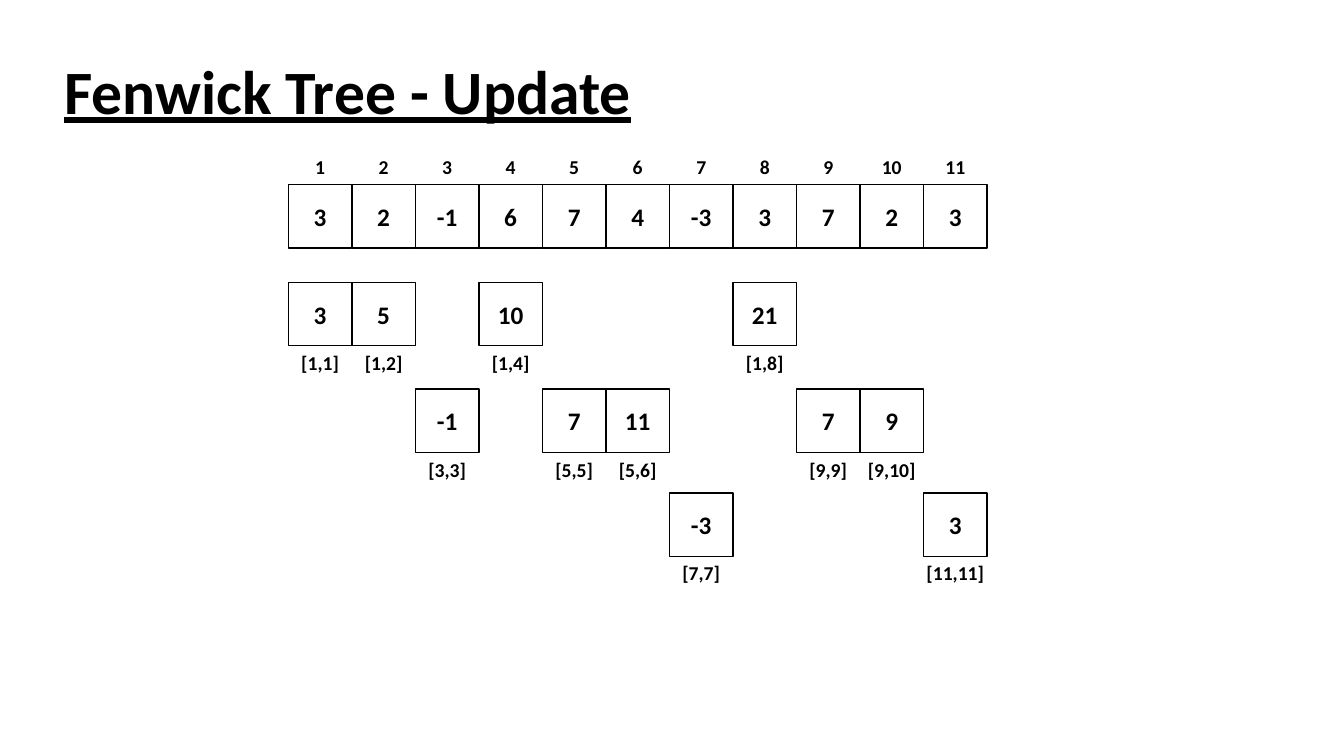
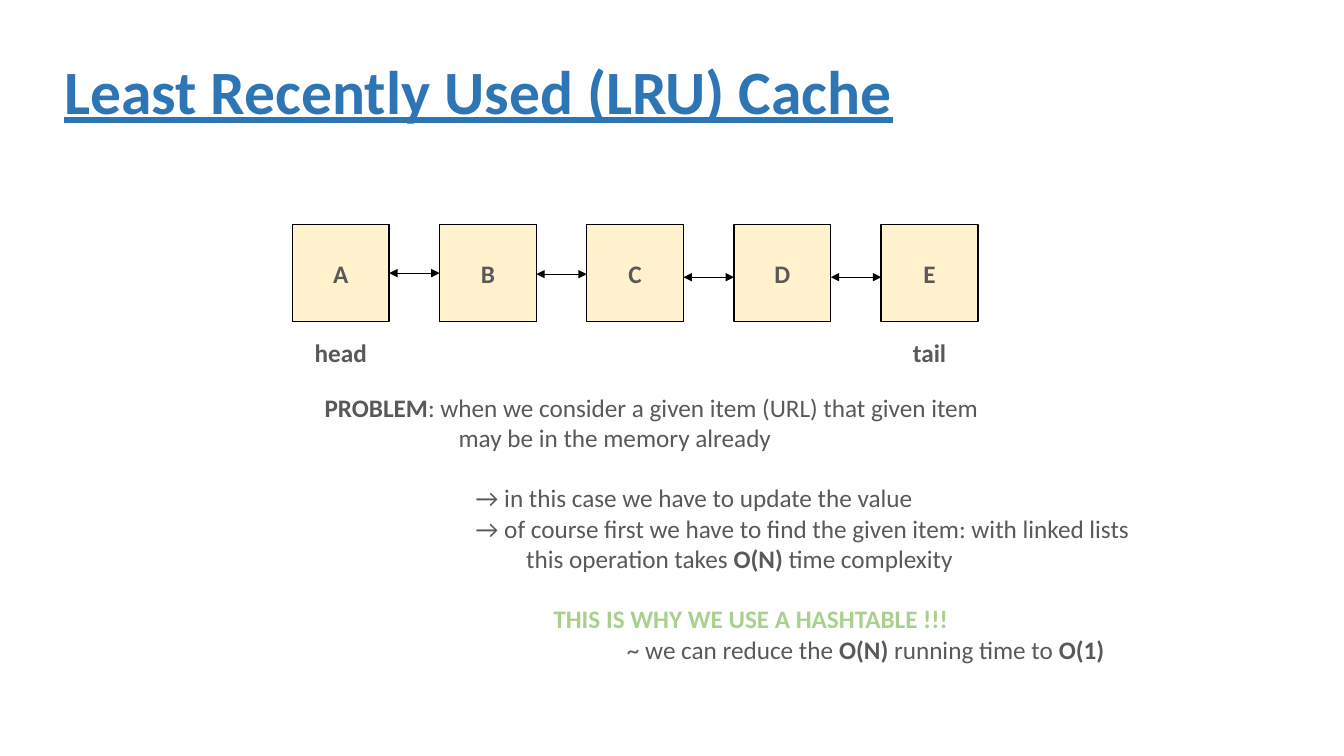
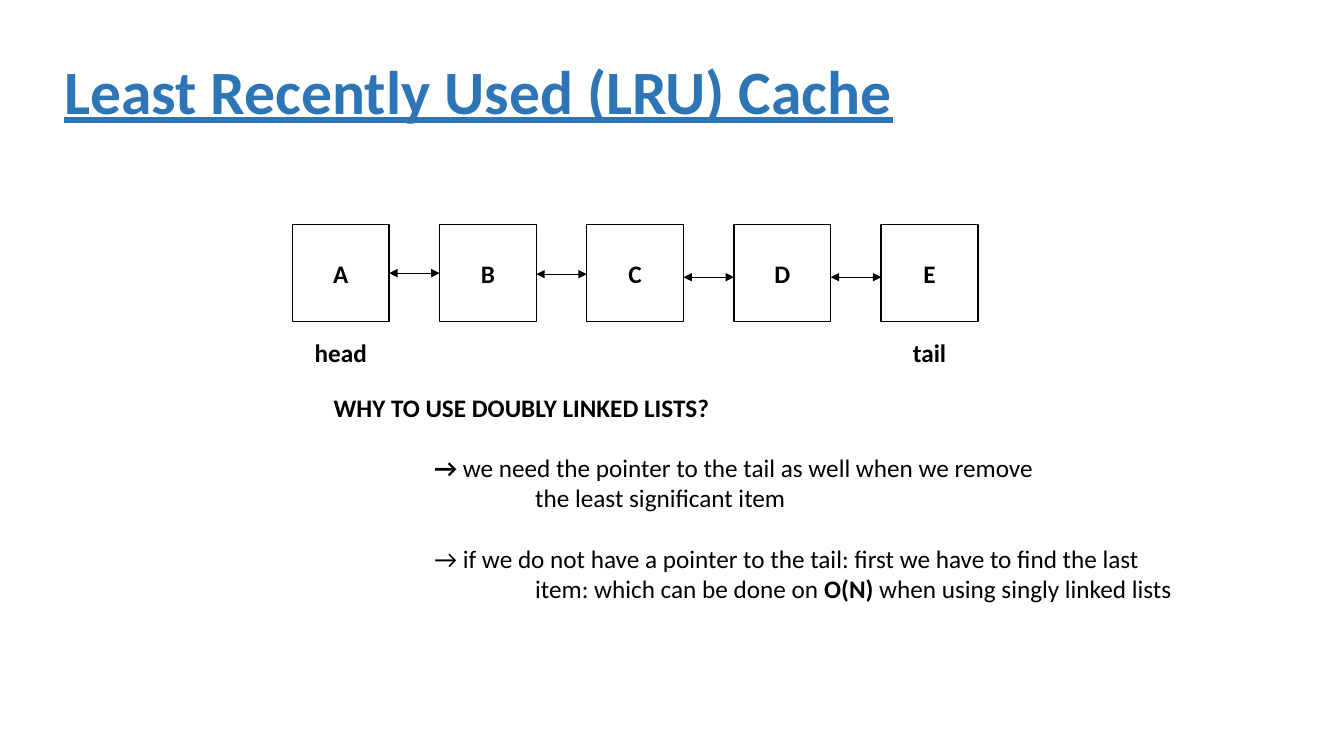
from dataclasses import dataclass
from pptx import Presentation
from pptx.dml.color import RGBColor as RGB
from pptx.enum.shapes import MSO_CONNECTOR as CONN, MSO_SHAPE as SHAPE
from pptx.enum.text import MSO_ANCHOR as ANCHOR, PP_ALIGN as ALIGN
from pptx.oxml.ns import qn
from pptx.util import Inches, Pt
from lxml.etree import SubElement


@dataclass(frozen=True)
class Theme:
    """Colours, font and type sizes of the deck."""
    font: str = "Calibri"
    black: RGB = RGB(0, 0, 0)
    white: RGB = RGB(255, 255, 255)
    blue: RGB = RGB(0x2E, 0x75, 0xB6)
    grey: RGB = RGB(0x59, 0x59, 0x59)
    cream: RGB = RGB(0xFF, 0xF2, 0xCC)
    green: RGB = RGB(0xA9, 0xD1, 0x8E)
    title: int = 44
    body: int = 18
    label: int = 14
    gap: float = 21.6


class Deck:
    """Holds the theme and the current slide, and draws each kind of element."""

    def __init__(self, theme):
        """Start an empty widescreen deck."""
        self.t = theme
        self.prs = Presentation()
        self.prs.slide_width, self.prs.slide_height = Inches(13.33), Inches(7.5)

    def style(self, p, size, color, bold=None):
        """Set the font of a whole paragraph."""
        p.font.name, p.font.size, p.font.bold = self.t.font, Pt(size), bold
        p.font.color.rgb = color

    def frame(self, x, y, w, h):
        """Add a wrapping text box and return its text frame."""
        tf = self.s.shapes.add_textbox(*map(Inches, (x, y, w, h))).text_frame
        tf.word_wrap = True
        return tf

    def slide(self, title, color):
        """Add a slide with its underlined title."""
        self.s = self.prs.slides.add_slide(self.prs.slide_layouts[6])
        tf = self.frame(0.54, 0.21, 11.5, 1.45)
        tf.vertical_anchor = ANCHOR.MIDDLE
        p = tf.paragraphs[0]
        p.text, p.line_spacing = title, 0.9
        self.style(p, self.t.title, color, True)
        p.font.underline = True

    def box(self, x, y, side, text, fill, color):
        """Draw a square with a centred value."""
        sp = self.s.shapes.add_shape(SHAPE.RECTANGLE, *map(Inches, (x, y, side, side)))
        sp.shadow.inherit = False
        sp.fill.solid()
        sp.fill.fore_color.rgb = fill
        sp.line.color.rgb, sp.line.width = self.t.black, Pt(1)
        sp.text_frame.vertical_anchor = ANCHOR.MIDDLE
        p = sp.text_frame.paragraphs[0]
        p.text, p.alignment = text, ALIGN.CENTER
        self.style(p, self.t.body, color, True)

    def label(self, center, y, text, size, color):
        """Write a bold label centred on a horizontal position."""
        p = self.frame(center - 0.5, y, 1, 0.34).paragraphs[0]
        p.text, p.alignment = text, ALIGN.CENTER
        self.style(p, size, color, True)

    def arrow(self, x1, x2, y):
        """Draw a horizontal double-headed arrow."""
        c = self.s.shapes.add_connector(CONN.STRAIGHT, *map(Inches, (x1, y, x2, y)))
        c.line.color.rgb, c.line.width = self.t.black, Pt(0.5)
        ln = c.line._get_or_add_ln()
        for end in ("a:headEnd", "a:tailEnd"):
            SubElement(ln, qn(end), type="triangle")
        SubElement(c._element.spPr, qn("a:effectLst"))

    def notes(self, x, w, h, color, lines):
        """Write indented lines, with the parts between asterisks in bold."""
        tf = self.frame(x, 3.84, w, h)
        for i, (indent, gap, text, *own) in enumerate(lines):
            p = tf.add_paragraph() if i else tf.paragraphs[0]
            p._p.get_or_add_pPr().set("marL", str(Inches(indent)))
            p.space_before = Pt(gap * self.t.gap)
            self.style(p, self.t.body, own[0] if own else color)
            for j, part in enumerate(text.split("*")):
                if part:
                    r = p.add_run()
                    r.text, r.font.bold = part, j % 2 == 1

    def linked_list(self, fill, color):
        """Draw the doubly linked list with its head and tail."""
        left, top, side, step = 2.9, 2.23, 0.96, 1.46
        for i, name in enumerate("ABCDE"):
            self.box(left + i * step, top, side, name, fill, color)
        for i, y in enumerate((2.71, 2.72, 2.75, 2.75)):
            x = left + i * step + side
            self.arrow(x, x + step - side, y)
        for i, name in ((0, "head"), (4, "tail")):
            self.label(left + i * step + side / 2, 3.3, name, self.t.body, color)

    def fenwick_tree(self, values, levels):
        """Draw the indexed array and the levels of range sums."""
        left, side, t = 2.86, 0.63, self.t

        def cell(index, y, value, label, label_y):
            x = left + (index - 1) * side
            self.box(x, y, side, str(value), t.white, t.black)
            self.label(x + side / 2, label_y, label, t.label, t.black)

        for index, value in enumerate(values, 1):
            cell(index, 1.83, value, str(index), 1.49)
        for y, sums in levels.items():
            for first, last, value in sums:
                cell(last, y, value, f"[{first},{last}]", y + side)


def main():
    """Build the three slides."""
    t = Theme()
    d = Deck(t)

    d.slide("Fenwick Tree - Update", t.black)
    d.fenwick_tree((3, 2, -1, 6, 7, 4, -3, 3, 7, 2, 3), {
        2.8: ((1, 1, 3), (1, 2, 5), (1, 4, 10), (1, 8, 21)),
        3.86: ((3, 3, -1), (5, 5, 7), (5, 6, 11), (9, 9, 7), (9, 10, 9)),
        4.89: ((7, 7, -3), (11, 11, 3)),
    })

    lru = "Least Recently Used (LRU) Cache"
    d.slide(lru, t.blue)
    d.linked_list(t.cream, t.grey)
    d.notes(3.12, 8.32, 2.83, t.grey, (
        (0, 0, "*PROBLEM*: when we consider a given item (URL) that given item"),
        (1.33, 0, "may be in the memory already"),
        (1.5, 1, "→ in this case we have to update the value"),
        (1.5, 0, "→ of course first we have to find the given item: with linked lists"),
        (2, 0, "this operation takes *O(N)* time complexity"),
        (2.27, 1, "*THIS IS WHY WE USE A HASHTABLE !!!*", t.green),
        (3, 0, "~ we can reduce the *O(N)* running time to *O(1)*"),
    ))

    d.slide(lru, t.blue)
    d.linked_list(t.white, t.black)
    d.notes(3.21, 8.72, 2.22, t.black, (
        (0, 0, "*WHY TO USE DOUBLY LINKED LISTS?*"),
        (1, 1, "*→ *we need the pointer to the tail as well when we remove"),
        (2, 0, "the least significant item"),
        (1, 1, "→ if we do not have a pointer to the tail: first we have to find the last"),
        (2, 0, "item: which can be done on *O(N)* when using singly linked lists"),
    ))

    d.prs.save("out.pptx")


if __name__ == "__main__":
    main()
